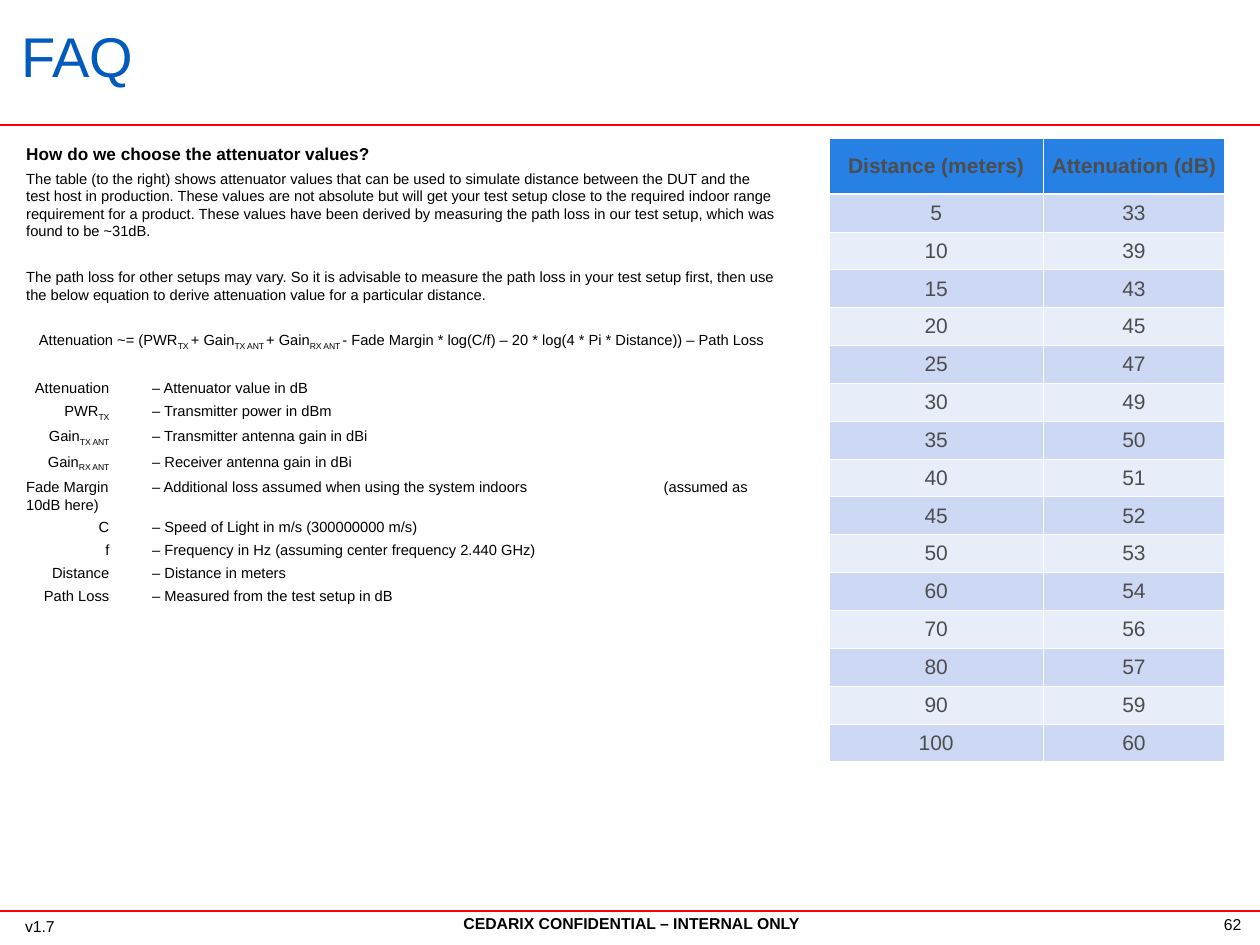
"""Build the FAQ slide about choosing attenuator values."""
from lxml.etree import SubElement, fromstring
from pptx import Presentation
from pptx.dml.color import RGBColor
from pptx.enum.shapes import MSO_CONNECTOR
from pptx.enum.text import MSO_ANCHOR as Anchor, PP_ALIGN as Align
from pptx.oxml.ns import nsdecls, qn
from pptx.util import Inches, Pt

BLACK = RGBColor(0x00, 0x00, 0x00)
WHITE = RGBColor(0xFF, 0xFF, 0xFF)
RED = RGBColor(0xFF, 0x00, 0x00)
TITLE_BLUE = RGBColor(0x02, 0x5B, 0xBC)
HEADER_BLUE = RGBColor(0x27, 0x81, 0xE5)
BANDS = [RGBColor(0xE8, 0xED, 0xFA), RGBColor(0xCD, 0xD8, 0xF5)]
CELL_GREY = RGBColor(0x4D, 0x4D, 0x4D)

WIDTH, HEIGHT = 10, 7.5
RULES = [0.99, 7.23]
LABEL_STOP, TEXT_STOP, NOTE_STOP = 0.66, 1, 5.06
CLOSE, APART = 3, 16

TITLE = "FAQ"
FOOTERS = [
    ("CEDARIX CONFIDENTIAL – INTERNAL ONLY", (2.45, 7.2, 5.12, 0.25), Align.CENTER, True),
    ("62", (9.16, 7.21, 0.79, 0.25), Align.RIGHT, False),
    ("v1.7", (0.1, 7.23, 0.79, 0.25), Align.LEFT, False),
]
QUESTION = "How do we choose the attenuator values?"
ANSWERS = [
    ("The table (to the right) shows attenuator values that can be used to simulate distance "
     "between the DUT and the test host in production. These values are not absolute but will get "
     "your test setup close to the required indoor range requirement for a product. These values "
     "have been derived by measuring the path loss in our test setup, which was found to be ~31dB.",
     CLOSE),
    ("The path loss for other setups may vary. So it is advisable to measure the path loss in your "
     "test setup first, then use the below equation to derive attenuation value for a particular "
     "distance.", APART),
]
EQUATION = ["Attenuation ~= (PWR", "TX ", "+ Gain", "TX ANT ", "+ Gain", "RX ANT ",
            "- Fade Margin * log(C/f) – 20 * log(4 * Pi * Distance)) – Path Loss"]
TERMS = [
    ("Attenuation", "", "Attenuator value in dB"),
    ("PWR", "TX", "Transmitter power in dBm"),
    ("Gain", "TX ANT", "Transmitter antenna gain in dBi"),
    ("Gain", "RX ANT", "Receiver antenna gain in dBi"),
    ("Fade Margin", "",
     "Additional loss assumed when using the system indoors\t(assumed as 10dB here)"),
    ("C", "", "Speed of Light in m/s (300000000 m/s)"),
    ("f", "", "Frequency in Hz (assuming center frequency 2.440 GHz)"),
    ("Distance", "", "Distance in meters"),
    ("Path Loss", "", "Measured from the test setup in dB"),
]
HEADINGS = ("Distance (meters)", "Attenuation (dB)")
READINGS = [(5, 33), (10, 39), (15, 43), (20, 45), (25, 47), (30, 49), (35, 50), (40, 51),
            (45, 52), (50, 53), (60, 54), (70, 56), (80, 57), (90, 59), (100, 60)]
COLUMN_WIDTHS = (1.7, 1.44)
HEADER_HEIGHT, ROW_HEIGHT = 0.44, 0.3


def style(para, size, color=BLACK, bold=False, align=Align.LEFT):
    para.alignment = align
    font = para.font
    font.name, font.size, font.bold = "Arial", Pt(size), bold
    font.color.rgb = color


def add_box(page, area):
    frame = page.shapes.add_textbox(*map(Inches, area)).text_frame
    frame.word_wrap = True
    return frame


def add_rule(page, top):
    rule = page.shapes.add_connector(
        MSO_CONNECTOR.STRAIGHT, 0, Inches(top), Inches(WIDTH), Inches(top))
    rule.line.color.rgb = RED
    rule.line.width = Pt(1.25)
    SubElement(rule._element.spPr, qn("a:effectLst"))


def add_tabs(para, stops):
    tabs = SubElement(para._p.get_or_add_pPr(), qn("a:tabLst"))
    for position, kind in stops:
        SubElement(tabs, qn("a:tab"), pos=str(Inches(position)), algn=kind)


def add_pieces(para, pieces):
    """Write pieces that alternate between normal and subscript text."""
    for index, piece in enumerate(pieces):
        if piece:
            span = para.add_run()
            span.text = piece
            if index % 2:
                span.font._element.set("baseline", "-25000")


def add_body(page):
    frame = add_box(page, (0.11, 1.09, 6.16, 3.58))
    heading = frame.paragraphs[0]
    heading.text = QUESTION
    style(heading, 9.8, bold=True)

    def add_para(pieces, gap, align=Align.LEFT, stops=()):
        para = frame.add_paragraph()
        add_pieces(para, pieces)
        para.space_before = Pt(gap)
        if stops:
            add_tabs(para, stops)
        style(para, 8.4, align=align)

    for text, gap in ANSWERS:
        add_para([text], gap)
    add_para(EQUATION, APART, Align.CENTER)
    for index, (label, subscript, meaning) in enumerate(TERMS):
        stops = [(TEXT_STOP, "l"), (NOTE_STOP, "l")]
        if "\t" not in meaning:
            label = "\t" + label
            stops.insert(0, (LABEL_STOP, "r"))
        add_para([label, subscript, "\t– " + meaning], CLOSE if index else APART, stops=stops)


def add_borders(cell, widths):
    properties = cell._tc.get_or_add_tcPr()
    for index, (side, width) in enumerate(zip("LRTB", widths)):
        properties.insert(index, fromstring(
            f'<a:ln{side} {nsdecls("a")} w="{Pt(width)}"><a:solidFill>'
            f'<a:srgbClr val="{WHITE}"/></a:solidFill></a:ln{side}>'))


def add_readings(page):
    rows = [HEADINGS, *READINGS]
    height = HEADER_HEIGHT + ROW_HEIGHT * len(READINGS)
    table = page.shapes.add_table(
        len(rows), len(HEADINGS), Inches(6.58), Inches(1.1),
        Inches(sum(COLUMN_WIDTHS)), Inches(height)).table
    for column, width in zip(table.columns, COLUMN_WIDTHS):
        column.width = Inches(width)
    for row_index, values in enumerate(rows):
        is_header = row_index == 0
        table.rows[row_index].height = Inches(HEADER_HEIGHT if is_header else ROW_HEIGHT)
        for column_index, value in enumerate(values):
            cell = table.cell(row_index, column_index)
            cell.text = str(value)
            cell.vertical_anchor = Anchor.MIDDLE
            cell.margin_left = cell.margin_right = Inches(0.01)
            cell.fill.solid()
            cell.fill.fore_color.rgb = HEADER_BLUE if is_header else BANDS[row_index % 2]
            style(cell.text_frame.paragraphs[0], 12, CELL_GREY, is_header, Align.CENTER)
            add_borders(cell, (0.45, 0.45, 1.47 if row_index == 1 else 0.45,
                               1.47 if is_header else 0.45))


def main():
    deck = Presentation()
    deck.slide_width, deck.slide_height = Inches(WIDTH), Inches(HEIGHT)
    page = deck.slides.add_slide(deck.slide_layouts[6])
    for top in RULES:
        add_rule(page, top)
    for text, area, align, bold in FOOTERS:
        para = add_box(page, area).paragraphs[0]
        para.text = text
        style(para, 9, bold=bold, align=align)
    title = add_box(page, (0.07, 0.23, 8.51, 0.52))
    title.vertical_anchor = Anchor.MIDDLE
    title.text = TITLE
    title.paragraphs[0].line_spacing = 0.79
    style(title.paragraphs[0], 32, TITLE_BLUE)
    add_body(page)
    add_readings(page)
    deck.save("out.pptx")


if __name__ == "__main__":
    main()
